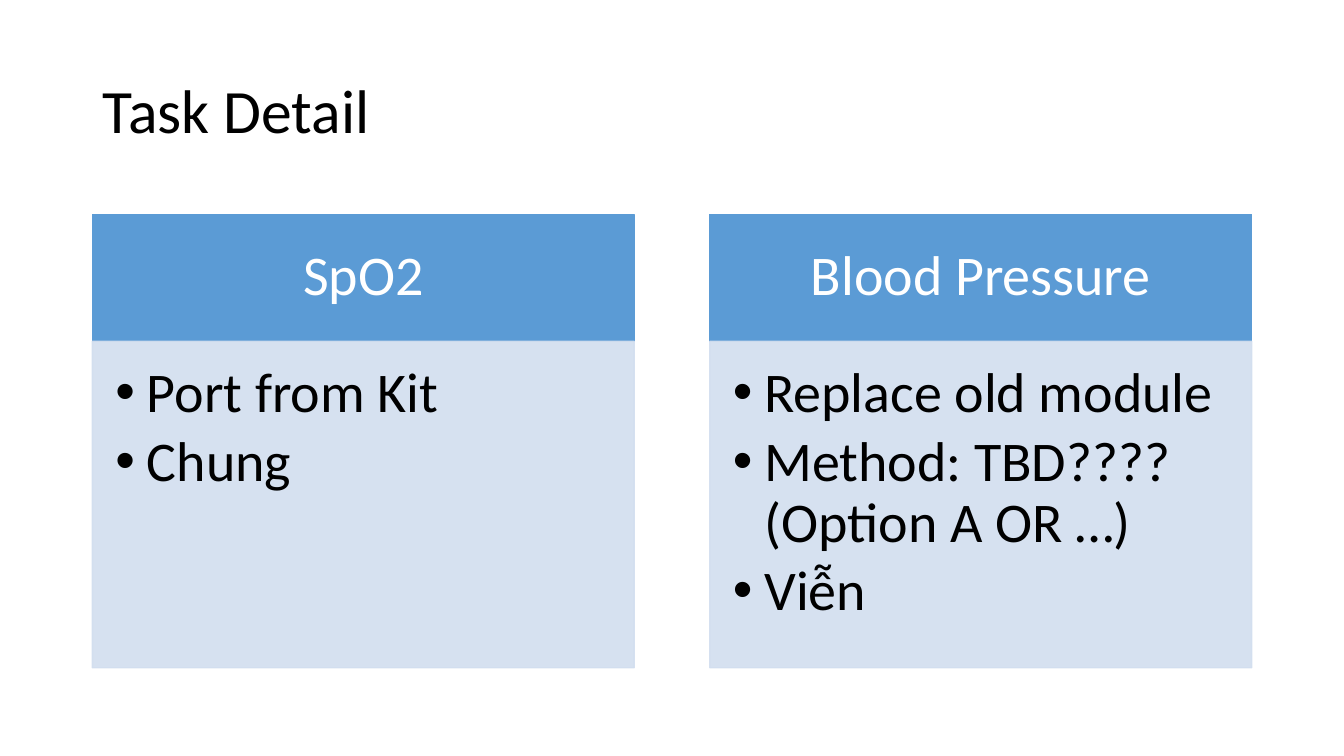
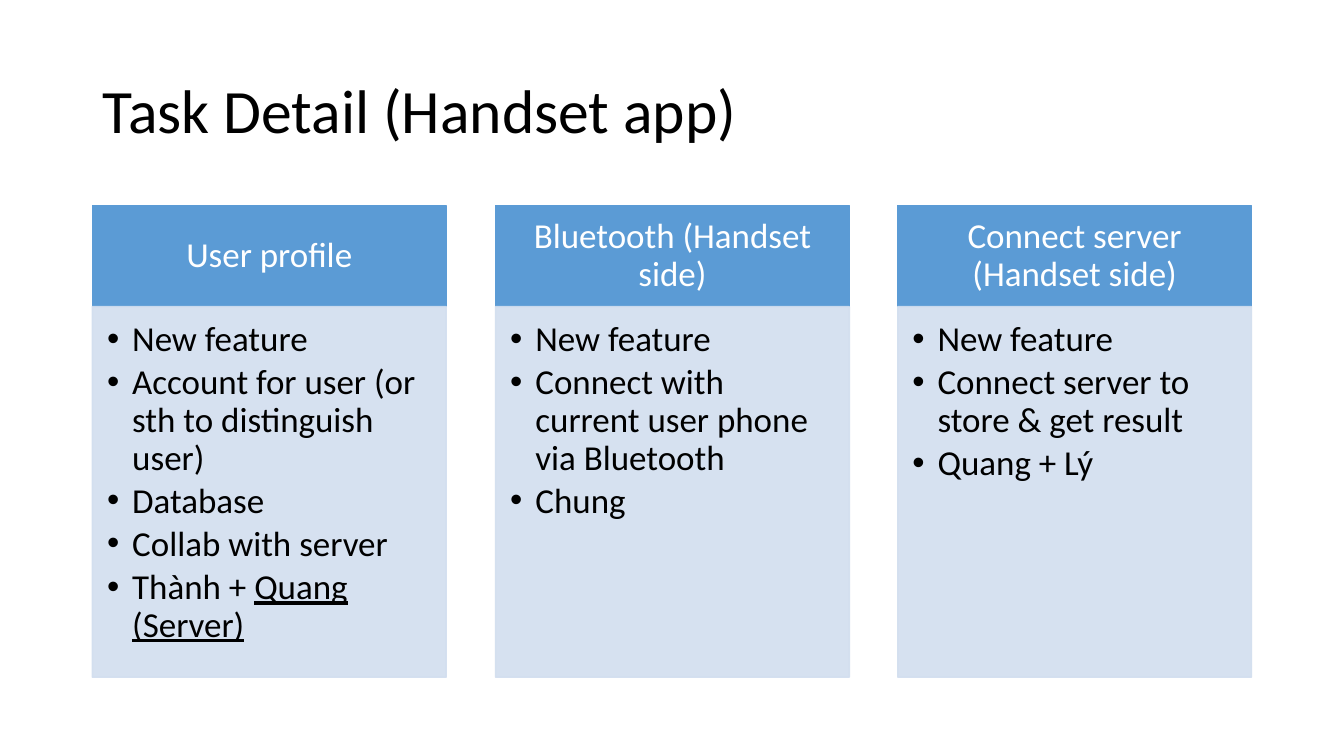
from dataclasses import dataclass

from lxml import etree
from pptx import Presentation
from pptx.dml.color import RGBColor
from pptx.enum.shapes import MSO_SHAPE
from pptx.enum.text import MSO_ANCHOR, PP_ALIGN
from pptx.oxml.ns import qn
from pptx.util import Emu, Pt

RECT = MSO_SHAPE.RECTANGLE
TOP, MID = MSO_ANCHOR.TOP, MSO_ANCHOR.MIDDLE
LEFT, MIDST = PP_ALIGN.LEFT, PP_ALIGN.CENTER
SCALE = 9525  # EMU in one px


@dataclass(frozen=True)
class Theme:
    font: str = "Calibri"
    blue: str = "5B9BD5"
    pale: str = "D2DEEF"
    ink: str = "000000"
    white: str = "FFFFFF"
    title: int = 44
    large: int = 40
    small: int = 25
    line: float = 0.9     # line spacing
    after: float = 0.15   # paragraph gap, share of type size
    gap: float = 0.14     # column gap, share of column width
    alpha: int = 90       # percent, for column bodies


THEME = Theme()
TITLE = (88, 39, 1104, 139)


def px(num):
    return Emu(round(num) * SCALE)


def write(shape, items, size, color, align=LEFT, anchor=MID,
          inset=(10, 5, 10, 5), hang=0):
    """Each item is a text, or a pair of plain and underlined text."""
    frame = shape.text_frame
    frame.word_wrap = True
    frame.vertical_anchor = anchor
    (frame.margin_left, frame.margin_top,
     frame.margin_right, frame.margin_bottom) = map(px, inset)
    for num, item in enumerate(items):
        para = frame.add_paragraph() if num else frame.paragraphs[0]
        para.alignment = align
        para.line_spacing = THEME.line
        para.space_after = Pt(round(size * THEME.after, 1))
        parts = (item,) if isinstance(item, str) else item
        for part, text in enumerate(parts):
            run = para.add_run()
            run.text = text
            font = run.font
            font.name, font.size = THEME.font, Pt(size)
            font.color.rgb = RGBColor.from_string(color)
            font.underline = part > 0
        if hang:
            props = para._p.get_or_add_pPr()
            props.set("marL", str(px(hang)))
            props.set("indent", str(-px(hang)))
            face = etree.SubElement(props, qn("a:buFont"))
            face.set("typeface", "Arial")
            etree.SubElement(props, qn("a:buChar")).set("char", "•")


def panel(slide, box, color, alpha=100):
    shape = slide.shapes.add_shape(RECT, *map(px, box))
    shape.shadow.inherit = False
    shape.fill.solid()
    shape.line.width = Pt(1)
    for paint in (shape.fill.fore_color, shape.line.color):
        paint.rgb = RGBColor.from_string(color)
    if alpha < 100:
        for node in shape._element.spPr.iter(qn("a:srgbClr")):
            etree.SubElement(node, qn("a:alpha")).set("val", str(alpha * 1000))
    return shape


def column(slide, box, split, head, items, size, hang):
    left, top, width, height = box
    em = size * 4 / 3  # type size in px
    side, edge, near, foot = (em * k for k in (0.56, 0.32, 0.42, 0.63))
    # Heading
    bar = panel(slide, (left, top, width, split), THEME.blue)
    write(bar, [head], size, THEME.white, align=MIDST,
          inset=(side, edge, side, edge))
    # Bullet list
    body = panel(slide, (left, top + split, width, height - split),
                 THEME.pale, THEME.alpha)
    write(body, items, size, THEME.ink, anchor=TOP,
          inset=(near, near, side, foot), hang=hang)


def task_slide(deck, title, box, split, size, hang, tasks):
    slide = deck.slides.add_slide(deck.slide_layouts[6])
    label = slide.shapes.add_textbox(*map(px, TITLE))
    write(label, [title], THEME.title, THEME.ink)
    # Equal columns across the box
    left, top, span, height = box
    count = len(tasks)
    width = span / (count + (count - 1) * THEME.gap)
    step = width * (1 + THEME.gap)
    for num, (head, items) in enumerate(tasks):
        place = (left + num * step, top, width, height)
        column(slide, place, split, head, items, size, hang)


def main():
    deck = Presentation()
    deck.slide_width, deck.slide_height = px(1280), px(720)
    task_slide(deck, "Task Detail", (88, 204, 1104, 432), 121,
               THEME.large, 30, [
                   ("SpO2", ["Port from Kit", "Chung"]),
                   ("Blood Pressure", [
                       "Replace old module",
                       "Method: TBD???? (Option A OR …)",
                       "Viễn"]),
               ])
    task_slide(deck, "Task Detail (Handset app)", (88, 196, 1104, 449), 96,
               THEME.small, 24, [
                   ("User profile", [
                       "New feature",
                       "Account for user (or sth to distinguish user)",
                       "Database",
                       "Collab with server",
                       ("Thành + ", "Quang (Server)")]),
                   ("Bluetooth (Handset side)", [
                       "New feature",
                       "Connect with current user phone via Bluetooth",
                       "Chung"]),
                   ("Connect server (Handset side)", [
                       "New feature",
                       "Connect server to store & get result",
                       "Quang + Lý"]),
               ])
    deck.save("out.pptx")


if __name__ == "__main__":
    main()
